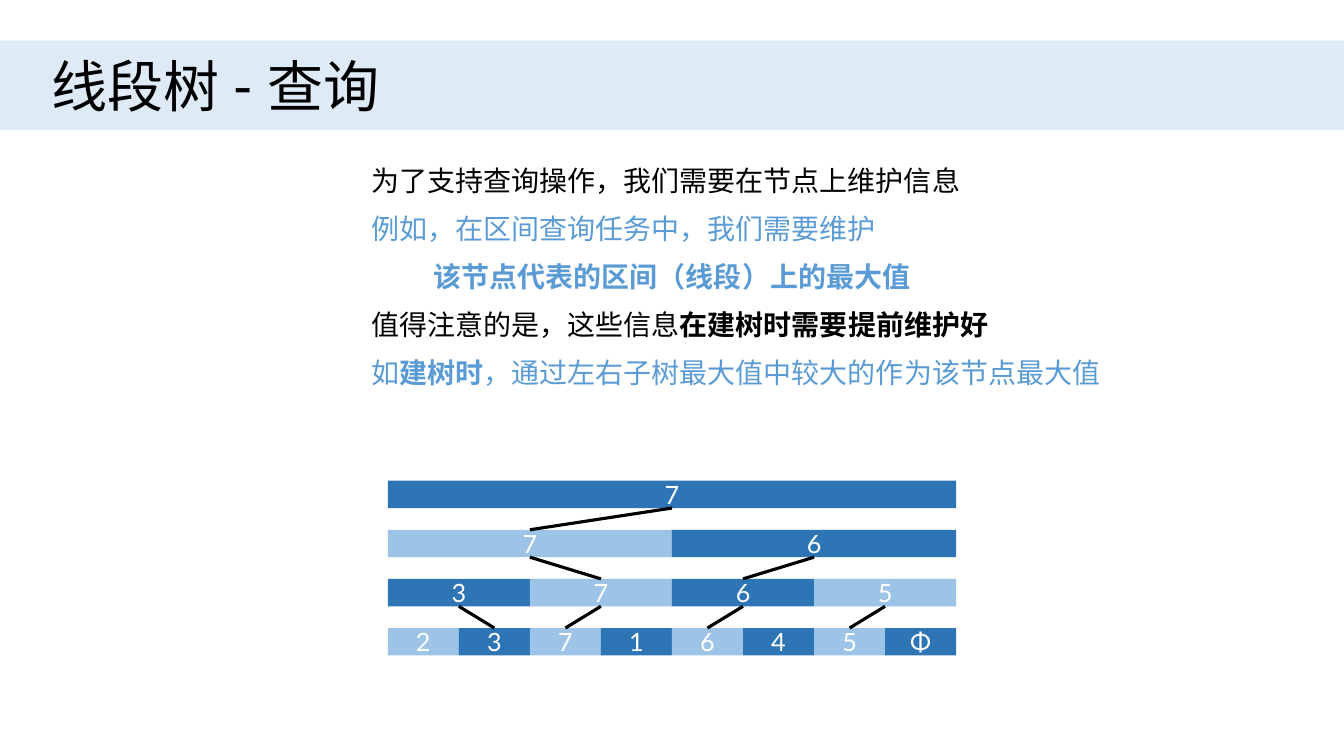
"""Builds a slide on segment tree queries, with a tree of range maxima."""
from lxml.etree import SubElement
from pptx import Presentation
from pptx.dml.color import RGBColor as RGB
from pptx.enum.shapes import MSO_CONNECTOR as CONN, MSO_SHAPE as SHAPE
from pptx.enum.text import MSO_ANCHOR as ANCHOR, PP_ALIGN as ALIGN
from pptx.oxml.ns import qn
from pptx.util import Pt

FONT = "Lato"
COLORS = {"band": "DEEBF7", "text": "000000", "accent": "5B9BD5",
          "dark": "2E75B6", "light": "9DC3E6", "value": "FFFFFF"}
NOTES = [
    ("text", 444, ALIGN.LEFT, [("为了支持查询操作，我们需要在节点上维护信息", False)]),
    ("accent", 444, ALIGN.LEFT, [("例如，在区间查询任务中，我们需要维护", False)]),
    ("accent", 444, ALIGN.CENTER, [("该节点代表的区间（线段）上的最大值", True)]),
    ("text", 475, ALIGN.LEFT, [("值得注意的是，这些信息", False),
                               ("在建树时需要提前维护好", True)]),
    ("accent", 544, ALIGN.LEFT, [("如", False), ("建树时", True),
                                 ("，通过左右子树最大值中较大的作为该节点最大值", False)]),
]
LEAVES = [2, 3, 7, 1, 6, 4, 5, 0]


def color(name):
    """Return the named colour."""
    return RGB.from_string(COLORS[name])


def add_bar(s, x, y, w, h, fill):
    """Add a plain filled rectangle."""
    sp = s.shapes.add_shape(SHAPE.RECTANGLE, Pt(x), Pt(y), Pt(w), Pt(h))
    sp.shadow.inherit = False
    sp.fill.solid()
    sp.fill.fore_color.rgb = color(fill)
    sp.line.fill.background()
    return sp


def write(tf, runs, size, ink, align):
    """Fill the first paragraph with (text, bold) runs."""
    p = tf.paragraphs[0]
    p.alignment = align
    p.font.name, p.font.size = FONT, Pt(size)
    p.font.color.rgb = color(ink)
    for text, bold in runs:
        r = p.add_run()
        r.text = text
        if bold:
            r.font.bold = True


def add_text(s, x, y, w, h, runs, size, ink, align=ALIGN.LEFT):
    """Add a wrapping text box of one paragraph."""
    tf = s.shapes.add_textbox(Pt(x), Pt(y), Pt(w), Pt(h)).text_frame
    tf.word_wrap = True
    write(tf, runs, size, ink, align)


def add_link(s, x1, y1, x2, y2):
    """Add a black line between two nodes."""
    c = s.shapes.add_connector(CONN.STRAIGHT, Pt(x1), Pt(y1), Pt(x2), Pt(y2))
    c.line.color.rgb = color("text")
    c.line.width = Pt(2.25)
    SubElement(c._element.spPr, qn("a:effectLst"))


def add_header(s, x, y, w, h):
    """Draw the title band."""
    add_bar(s, x, y, w, h, "band")
    add_text(s, x + 30, y + 4.2, 650, 55.4, [("线段树 - 查询", False)], 40, "text")


def add_notes(s, x, y, pitch):
    """Stack the explanation lines at an equal pitch."""
    for i, (ink, w, align, runs) in enumerate(NOTES):
        add_text(s, x, y + i * pitch, w, 31.5, runs, 20, ink, align)


def add_tree(s, x, y, w, pitch, h):
    """Draw the tree of maxima and link each parent to its larger child."""
    levels = [LEAVES]
    while len(levels[0]) > 1:
        row = levels[0]
        levels.insert(0, [max(pair) for pair in zip(row[::2], row[1::2])])
    for depth, row in enumerate(levels):
        step, top = w / len(row), y + depth * pitch
        for i, value in enumerate(row):
            fill = "light" if (i + depth) % 2 else "dark"
            sp = add_bar(s, x + i * step, top, step, h, fill)
            sp.text_frame.vertical_anchor = ANCHOR.MIDDLE
            write(sp.text_frame, [(str(value or "Φ"), False)], 18, "value", ALIGN.CENTER)
    for depth, row in enumerate(levels[:-1]):
        step, bottom = w / len(row), y + depth * pitch + h
        below = levels[depth + 1]
        for i, value in enumerate(row):
            child = below.index(value, 2 * i)
            add_link(s, x + (child + 0.5) * step / 2, y + (depth + 1) * pitch,
                     x + (i + 0.5) * step, bottom)


prs = Presentation()
prs.slide_width, prs.slide_height = Pt(960), Pt(540)
s = prs.slides.add_slide(prs.slide_layouts[6])
add_header(s, 0, 29, 960, 64)
add_notes(s, 258, 113.5, 34.2)
add_tree(s, 277, 343.3, 406, 35.1, 19.6)
prs.save("out.pptx")
